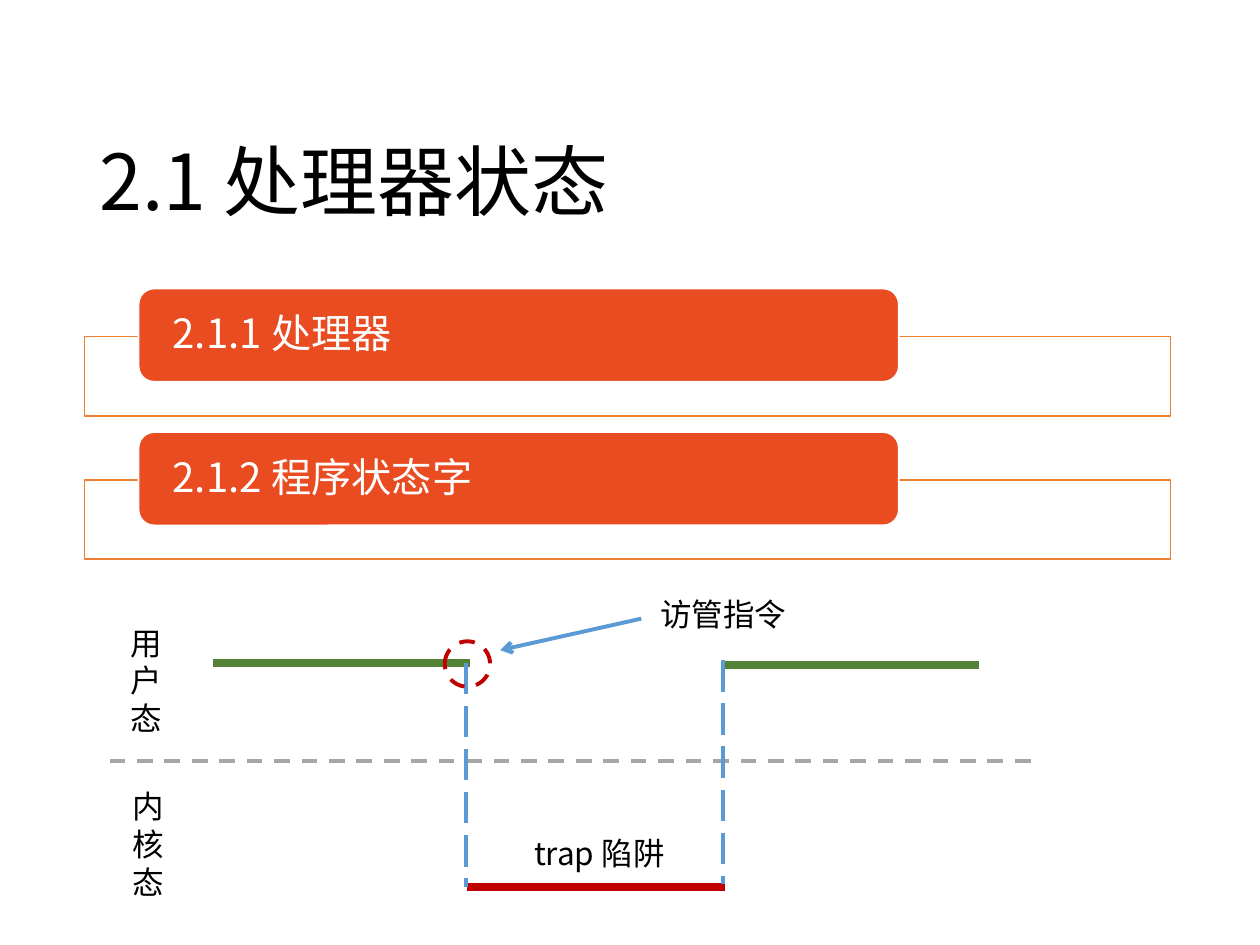
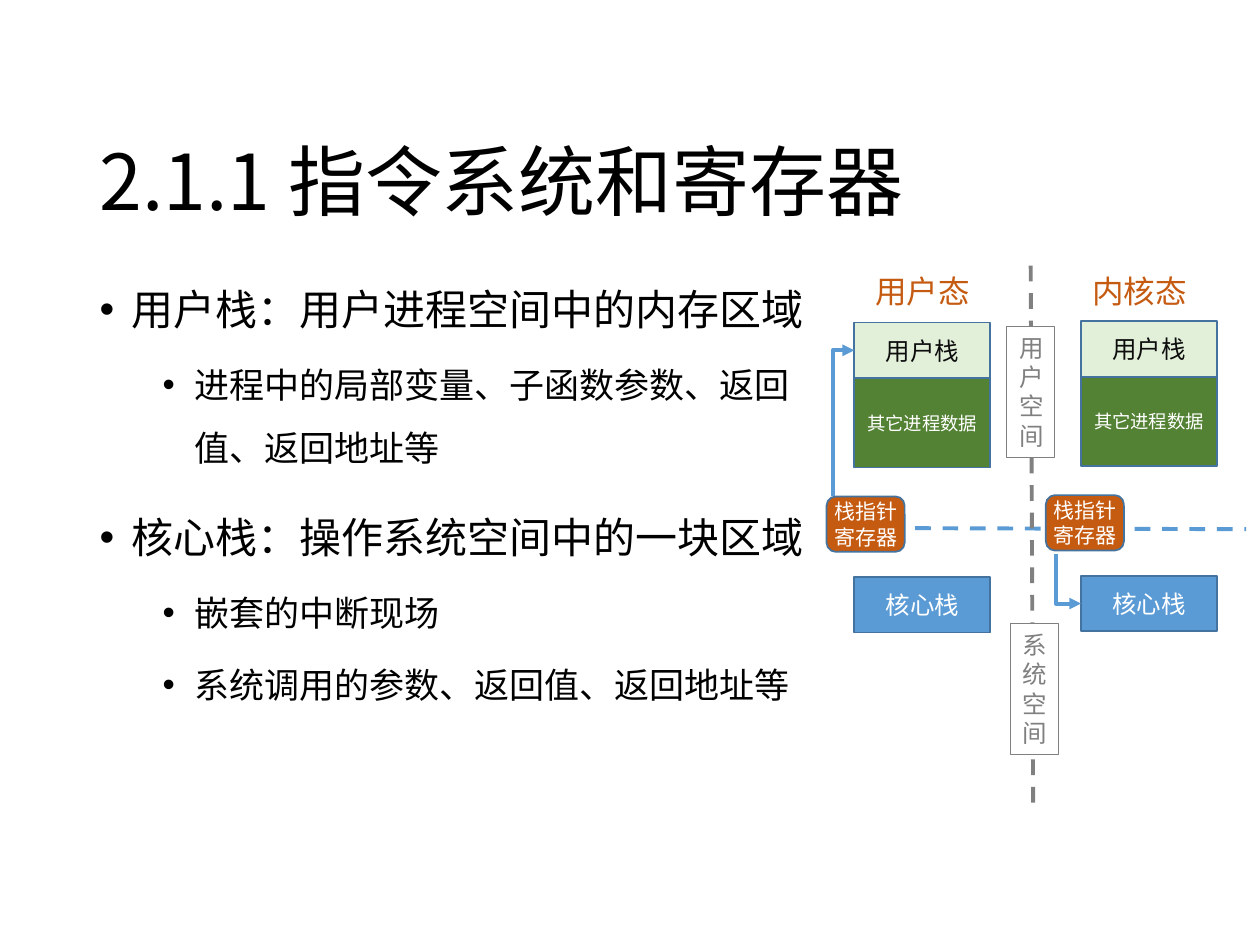
from lxml import etree
from pptx import Presentation
from pptx import util as u
from pptx.dml.color import RGBColor
from pptx.enum import dml, shapes, text
from pptx.oxml.ns import qn

FONT = "Noto Sans CJK SC"
BLACK, WHITE, GRAY, SILVER = "000000", "FFFFFF", "808080", "A6A6A6"
BLUE, NAVY, GREEN, MINT = "5B9BD5", "43739E", "548235", "E2F0D9"
RED, RUST, ORANGE, BANNER = "C00000", "C55A11", "ED7D31", "E94C21"
CENTER, LEFT = text.PP_ALIGN.CENTER, text.PP_ALIGN.LEFT
TOP, MIDDLE = text.MSO_ANCHOR.TOP, text.MSO_ANCHOR.MIDDLE
BOTTOM = text.MSO_ANCHOR.BOTTOM
DASH, LONG_DASH = dml.MSO_LINE.DASH, dml.MSO_LINE.LONG_DASH
RECT, ROUND = shapes.MSO_SHAPE.RECTANGLE, shapes.MSO_SHAPE.ROUNDED_RECTANGLE
INSETS = (0.1, 0.05, 0.1, 0.05)
TITLE_BOX = (0.69, 0.4, 8.62, 1.45)


def color(hex_string):
    """Turn a hex string into a colour."""
    return RGBColor.from_string(hex_string)


def assign(target, values):
    """Set attributes of an object from a dict."""
    for name, value in values.items():
        setattr(target, name, value)


def inches(values):
    """Convert a series of lengths to inches."""
    return [u.Inches(value) for value in values]


def place(item, box):
    """Move and size an object to a box."""
    assign(item, dict(zip(("left", "top", "width", "height"), inches(box))))


def set_frame(frame, anchor=TOP, insets=INSETS):
    """Format a text frame."""
    margins = dict(zip(("margin_left", "margin_top", "margin_right", "margin_bottom"),
                       inches(insets)))
    assign(frame, {"auto_size": text.MSO_AUTO_SIZE.NONE, "word_wrap": True,
                   "vertical_anchor": anchor, **margins})


def write(para, wording, size, ink=BLACK, **layout):
    """Put one formatted run in a paragraph."""
    assign(para, {"alignment": LEFT, **layout})
    span = para.add_run()
    span.text = wording
    assign(span.font, {"size": u.Pt(size), "name": FONT})
    span.font.color.rgb = color(ink)
    etree.SubElement(span._r.get_or_add_rPr(), qn("a:ea"), typeface=FONT)


def add_label(parts, box, wording, size, ink=BLACK, anchor=TOP, insets=INSETS, **layout):
    """Add a text box."""
    label = parts.add_textbox(*inches(box))
    set_frame(label.text_frame, anchor, insets)
    write(label.text_frame.paragraphs[0], wording, size, ink, **layout)


def add_block(parts, kind, box, fill, line, weight=1):
    """Add a flat shape, unfilled when fill is None."""
    block = parts.add_shape(kind, *inches(box))
    block.shadow.inherit = False
    if fill:
        block.fill.solid()
        block.fill.fore_color.rgb = color(fill)
    else:
        block.fill.background()
    block.line.color.rgb = color(line)
    block.line.width = u.Pt(weight)
    return block


def add_text_block(parts, kind, box, fill, wording, size, ink=WHITE, line=NAVY,
                   weight=1, anchor=MIDDLE, insets=INSETS, align=CENTER):
    """Add a flat shape that holds text."""
    block = add_block(parts, kind, box, fill, line, weight)
    set_frame(block.text_frame, anchor, insets)
    write(block.text_frame.paragraphs[0], wording, size, ink, alignment=align)


def style_line(line, ink, weight, dash=None, head=None):
    """Format a connector without shadow."""
    line.line.color.rgb = color(ink)
    assign(line.line, {"width": u.Pt(weight), "dash_style": dash})
    if head:
        etree.SubElement(line.line._get_or_add_ln(), qn("a:tailEnd"), type=head)
    etree.SubElement(line._element.spPr, qn("a:effectLst"))


def add_line(parts, start, end, ink, weight=2.25, dash=None, head=None):
    """Add a straight line."""
    line = parts.add_connector(shapes.MSO_CONNECTOR.STRAIGHT, *inches((*start, *end)))
    style_line(line, ink, weight, dash, head)


def add_elbow(parts, start, end):
    """Add an arrow that runs vertically, then to the right."""
    across, down = end[0] - start[0], end[1] - start[1]
    width, height = abs(down), across
    left = (start[0] + end[0] - width) / 2
    top = (start[1] + end[1] - height) / 2
    elbow = parts.add_connector(shapes.MSO_CONNECTOR.ELBOW,
                                *inches((left, top, left + width, top + height)))
    properties = elbow._element.spPr
    properties.find(qn("a:prstGeom")).set("prst", "bentConnector2")
    properties.find(qn("a:xfrm")).set("rot", str(270 * 60000))
    if down > 0:
        properties.find(qn("a:xfrm")).set("flipH", "1")
    style_line(elbow, BLUE, 2.25, head="triangle")


def add_page(deck, layout, heading):
    """Add a slide with its title."""
    page = deck.slides.add_slide(deck.slide_layouts[layout])
    title = page.shapes.title
    place(title, TITLE_BOX)
    set_frame(title.text_frame, BOTTOM)
    write(title.text_frame.paragraphs[0], heading, 44, line_spacing=0.9)
    return page


def add_agenda(page, box, headings, pitch=1.14):
    """Stack section banners, each over an outlined panel."""
    left, top, width, _ = box
    parts = page.shapes.add_group_shape().shapes
    for row, heading in enumerate(headings):
        y = top + row * pitch
        panel = add_block(parts, RECT, (left, y + 0.38, width, 0.63), WHITE, ORANGE)
        tint = panel.fill._xPr.find(qn("a:solidFill"))[0]
        etree.SubElement(tint, qn("a:alpha"), val="90000")
        add_block(parts, ROUND, (left + 0.43, y, width * 0.7, 0.74), BANNER, WHITE)
        add_label(parts, (left + 0.47, y + 0.04, 5.97, 0.67), heading, 23, WHITE,
                  MIDDLE, (0.23, 0, 0.23, 0), line_spacing=0.9)


def add_mode_timeline(page, box):
    """Draw the switch from user mode to kernel mode and back."""
    left, top, width, _ = box
    parts = page.shapes.add_group_shape().shapes
    border, user, kernel, span = top + 1.37, top + 0.59, top + 2.37, 2.04
    enter, leave = left + 2.83, left + 4.87
    add_line(parts, (left, border), (left + width, border), SILVER, dash=DASH)
    add_label(parts, (left + 0.07, top + 0.23, 0.47, 1.01), "用户态", 18)
    add_label(parts, (left + 0.08, top + 1.53, 0.47, 1.01), "内核态", 18)
    for x, y, ink in ((left + 0.82, user, GREEN), (enter + 0.01, kernel, RED),
                      (leave - 0.01, user + 0.02, GREEN)):
        add_line(parts, (x, y), (x + span, y), ink, 4.5)
    for x, y in ((enter, user), (leave, user - 0.02)):
        add_line(parts, (x, y), (x, y + 1.78), BLUE, dash=LONG_DASH)
    ring = add_block(parts, shapes.MSO_SHAPE.OVAL,
                     (enter - 0.17, user - 0.17, 0.36, 0.36), None, RED, 2.25)
    ring.line.dash_style = DASH
    add_line(parts, (left + 4.22, top + 0.24), (left + 3.1, top + 0.49), BLUE, head="arrow")
    add_label(parts, (left + 4.27, top, 1.21, 0.4), "访管指令", 18)
    add_label(parts, (left + 3.27, top + 1.9, 1.27, 0.4), "trap 陷阱", 18)


def add_outline(page, box, items):
    """Fill the body placeholder with a two-level list."""
    body = page.placeholders[1]
    place(body, box)
    frame = body.text_frame
    set_frame(frame)
    for index, (level, wording) in enumerate(items):
        para = frame.add_paragraph() if index else frame.paragraphs[0]
        write(para, wording, 24 - 4 * level, level=level, line_spacing=1.5,
              space_before=u.Pt(10 - 5 * level), space_after=u.Pt(0))
        properties = para._p.get_or_add_pPr()
        properties.set("marL", str(u.Inches(0.25 + 0.5 * level)))
        properties.set("indent", str(u.Inches(-0.25)))
        etree.SubElement(properties, qn("a:buFont"), typeface="Arial")
        etree.SubElement(properties, qn("a:buChar"), char="•")


def add_memory_column(parts, x, top, pointer_x, heading, heading_x):
    """Draw the memory blocks of one processor mode."""
    add_label(parts, (heading_x, 2.11, 0.96, 0.4), heading, 18, RUST)
    for offset, height, fill, wording, size, ink in (
            (0, 0.44, MINT, "用户栈", 14, "0D0D0D"),
            (0.44, 0.71, GREEN, "其它进程数据", 10.5, WHITE),
            (2.02, 0.44, BLUE, "核心栈", 14, WHITE)):
        add_text_block(parts, RECT, (x, top + offset, 1.08, height), fill, wording, size, ink)
    add_text_block(parts, ROUND, (pointer_x, top + 1.38, 0.62, 0.44), RUST,
                   "栈指针寄存器", 12, insets=(0, 0.05, 0, 0.05))


def add_stack_diagram(page, box):
    """Compare the stack pointer in user mode and in kernel mode."""
    left, top, _, height = box
    add_line(page.shapes, (left + 0.05, top + 2.13), (left + 3.33, top + 2.14), BLUE, dash=DASH)
    parts = page.shapes.add_group_shape().shapes
    add_line(parts, (left + 1.64, top + height), (left + 1.62, top), GRAY, dash=DASH)
    for x, y, wording in ((1.43, 0.53, "用户空间"), (1.46, 2.89, "系统空间")):
        add_text_block(parts, RECT, (left + x, top + y, 0.38, 1.04), WHITE, wording, 14,
                       GRAY, GRAY, 0.75, TOP, align=LEFT)
    add_memory_column(parts, left + 0.22, top + 0.5, left, "用户态", left + 0.29)
    add_memory_column(parts, left + 2.02, top + 0.49, left + 1.74, "内核态", left + 2.01)
    add_elbow(parts, (left + 0.05, top + 1.88), (left + 0.22, top + 0.72))
    add_elbow(parts, (left + 1.82, top + 2.34), (left + 2.02, top + 2.73))


def build():
    """Build and save the deck."""
    deck = Presentation()
    assign(deck, {"slide_width": u.Inches(10), "slide_height": u.Inches(7.5)})
    page = add_page(deck, 5, "2.1 处理器状态")
    add_agenda(page, (0.67, 2.29, 8.62, 2.15), ("2.1.1 处理器", "2.1.2 程序状态字"))
    add_mode_timeline(page, (0.87, 4.67, 7.36, 2.54))
    page = add_page(deck, 1, "2.1.1 指令系统和寄存器")
    add_outline(page, (0.69, 2, 5.86, 3.29), (
        (0, "用户栈：用户进程空间中的内存区域"),
        (1, "进程中的局部变量、子函数参数、返回值、返回地址等"),
        (0, "核心栈：操作系统空间中的一块区域"),
        (1, "嵌套的中断现场"),
        (1, "系统调用的参数、返回值、返回地址等")))
    add_stack_diagram(page, (6.56, 2.06, 3.1, 4.31))
    deck.save("out.pptx")


build()
